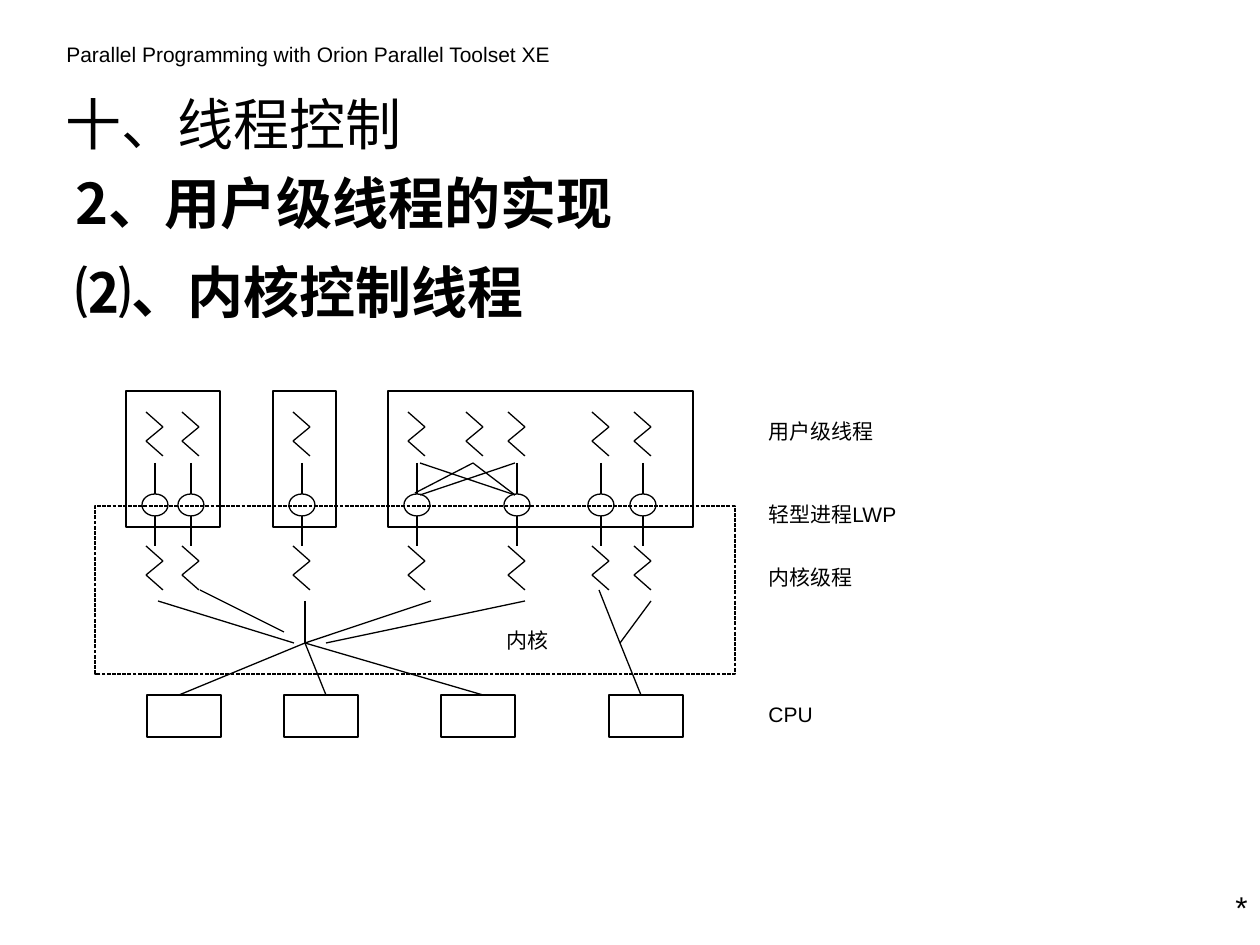
from lxml import etree
from pptx import Presentation
from pptx.dml.color import RGBColor
from pptx.enum.dml import MSO_LINE
from pptx.enum.shapes import MSO_CONNECTOR, MSO_SHAPE
from pptx.enum.text import MSO_ANCHOR, PP_ALIGN
from pptx.oxml.ns import qn
from pptx.util import Emu, Pt

STRAIGHT = MSO_CONNECTOR.STRAIGHT
RECT = MSO_SHAPE.RECTANGLE
OVAL = MSO_SHAPE.OVAL
DOTTED = MSO_LINE.SQUARE_DOT
MIDDLE = MSO_ANCHOR.MIDDLE
LEFT = PP_ALIGN.LEFT
RIGHT = PP_ALIGN.RIGHT

COLORS = {"ink": "000000"}
LATIN = "Arial"
CJK = "Noto Sans CJK SC"
EMU_PER_PX = 914400 / 126


def px(length):
    return Emu(round(length * EMU_PER_PX))


class ThreadSlide:
    """Draws styled text, outlines and lines on one slide."""

    def __init__(self, slide):
        self.slide = slide
        self.ink = RGBColor.from_string(COLORS["ink"])

    def format_text(self, paragraph, size, font, bold, align):
        paragraph.alignment = align
        for run in paragraph.runs:
            run.font.size = Pt(size)
            run.font.bold = bold
            run.font.name = font
            run.font.color.rgb = self.ink
            etree.SubElement(run._r.get_or_add_rPr(), qn("a:ea"), typeface=CJK)

    def title(self, text, left, top, width, height):
        heading = self.slide.shapes.title
        heading.left, heading.top = px(left), px(top)
        heading.width, heading.height = px(width), px(height)
        heading.text_frame.text = text
        heading.text_frame.vertical_anchor = MIDDLE
        self.format_text(heading.text_frame.paragraphs[0], 32, CJK, False, LEFT)

    def text(self, text, left, top, width, height, size=12, font=LATIN, bold=False, align=LEFT):
        box = self.slide.shapes.add_textbox(px(left), px(top), px(width), px(height))
        box.text_frame.word_wrap = True
        box.text_frame.text = text
        for paragraph in box.text_frame.paragraphs:
            self.format_text(paragraph, size, font, bold, align)
        return box.text_frame.paragraphs

    def outline(self, kind, left, top, width, height, dash=None):
        shape = self.slide.shapes.add_shape(kind, px(left), px(top), px(width), px(height))
        shape.shadow.inherit = False
        shape.fill.background()
        shape.line.color.rgb = self.ink
        shape.line.width = Pt(0.75)
        if dash:
            shape.line.dash_style = dash

    def line(self, x1, y1, x2, y2):
        connector = self.slide.shapes.add_connector(STRAIGHT, px(x1), px(y1), px(x2), px(y2))
        connector.line.color.rgb = self.ink
        connector.line.width = Pt(0.75)
        etree.SubElement(connector._element.spPr, qn("a:effectLst"))

    def zigzag(self, left, top):
        xs = (left, left + 17, left, left + 17)
        ys = (top, top + 15, top + 29, top + 44)
        for i in range(3):
            self.line(xs[i], ys[i], xs[i + 1], ys[i + 1])

    def thread(self, left):
        self.zigzag(left, 412)
        self.line(left + 9, 463, left + 9, 494)
        self.outline(OVAL, left - 4, 494, 26, 22)
        self.line(left + 9, 516, left + 9, 546)
        self.zigzag(left, 546)


def main():
    presentation = Presentation()
    presentation.slide_width, presentation.slide_height = px(1260), px(945)
    page = ThreadSlide(presentation.slides.add_slide(presentation.slide_layouts[5]))

    page.text("Parallel Programming with Orion Parallel Toolset XE", 54, 35, 517, 38)
    page.title("十、线程控制", 53, 76, 788, 94)
    page.text("*", 1144, 882, 116, 50, size=18, align=RIGHT)
    headings = page.text("2、用户级线程的实现\n⑵、内核控制线程", 63, 170, 1197, 598,
                         size=32, font=CJK, bold=True)
    for heading in headings:
        heading.line_spacing = 0.9
    headings[1].space_before = Pt(16)

    processes = [(126, 94, (146, 182)), (273, 63, (293,)), (388, 305, (408, 508, 592, 634))]
    for process_left, process_width, threads in processes:
        page.outline(RECT, process_left, 391, process_width, 136)
        for thread_left in threads:
            page.thread(thread_left)

    page.zigzag(466, 412)
    multiplexing = [(473, 463, 415, 493), (473, 463, 515, 495),
                    (515, 463, 420, 495), (420, 463, 515, 495)]
    scheduling = [(305, 643, 179, 695), (305, 643, 326, 695), (305, 643, 483, 695),
                  (158, 601, 294, 643), (200, 590, 284, 632), (305, 601, 305, 643),
                  (431, 601, 305, 643), (525, 601, 326, 643), (599, 590, 620, 643),
                  (651, 601, 620, 643), (620, 643, 641, 695)]
    for ends in multiplexing + scheduling:
        page.line(*ends)

    for cpu_left in (147, 284, 441, 609):
        page.outline(RECT, cpu_left, 695, 74, 42)
    page.outline(RECT, 95, 506, 640, 168, DOTTED)

    labels = [("CPU", 756, 695), ("轻型进程LWP", 756, 495), ("用户级线程", 756, 412),
              ("内核级程", 756, 558), ("内核", 494, 621)]
    for label, left, top in labels:
        page.text(label, left, top, 168, 38)

    presentation.save("out.pptx")


if __name__ == "__main__":
    main()
